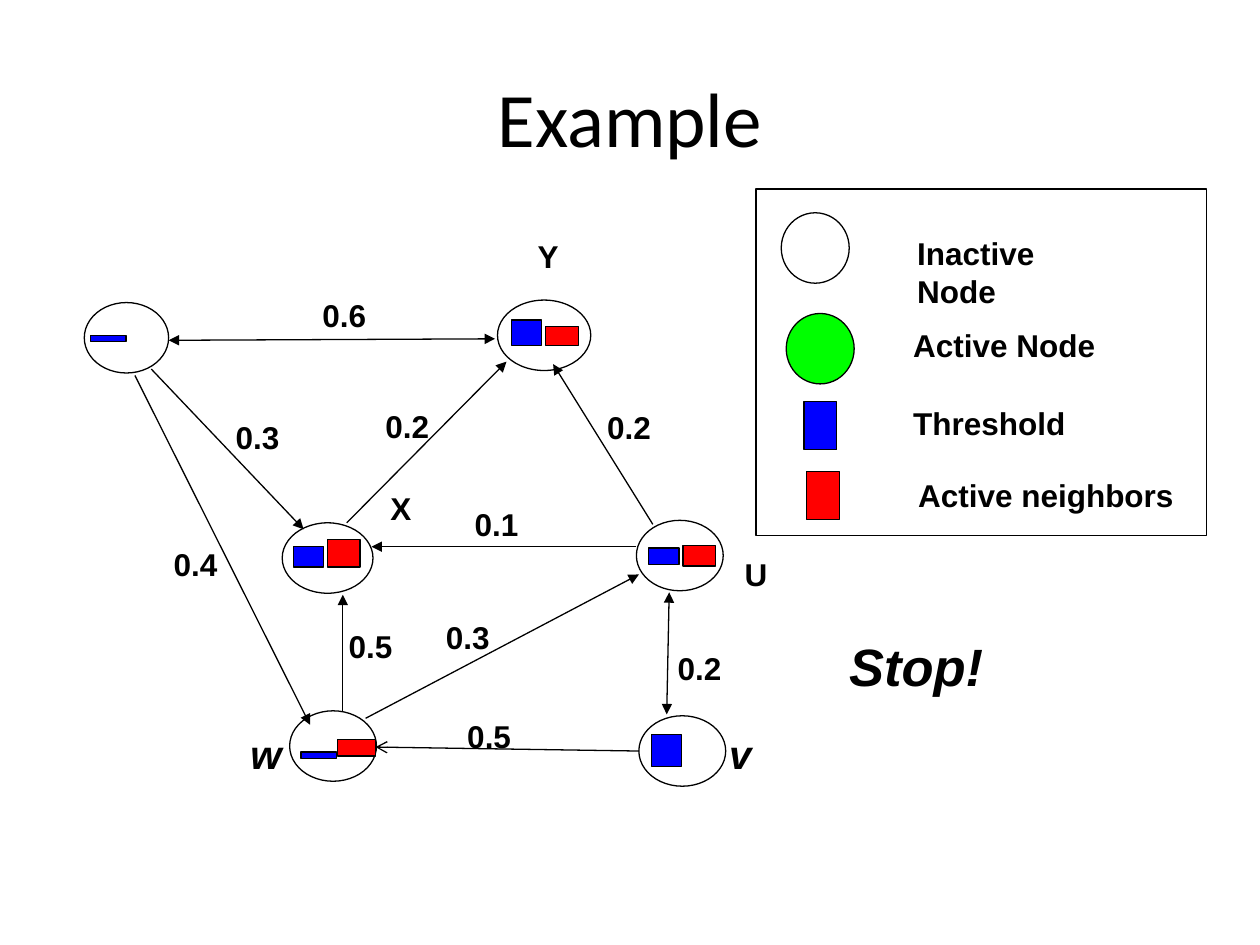
from lxml.etree import SubElement
from pptx import Presentation
from pptx.dml.color import RGBColor
from pptx.enum.shapes import MSO_CONNECTOR, MSO_SHAPE
from pptx.enum.text import MSO_ANCHOR, PP_ALIGN
from pptx.oxml.ns import qn
from pptx.util import Cm, Pt

BLACK = RGBColor(0, 0, 0)
WHITE = RGBColor(255, 255, 255)
GREEN = RGBColor(0, 255, 0)
BLUE = RGBColor(0, 0, 255)
RED = RGBColor(255, 0, 0)
OVAL, BOX = MSO_SHAPE.OVAL, MSO_SHAPE.RECTANGLE

# All lengths are in centimetres.
NODE_HEIGHT = 1.42
NODES = [  # left, top, width
    (5.69, 10.54, 1.83),
    (5.84, 14.33, 1.75),
    (12.83, 10.49, 1.75),
    (12.88, 14.43, 1.75),
    (1.70, 6.10, 1.70),
    (10.03, 6.05, 1.88),
]
BARS = [  # colour, left, top, width, height
    (BLUE, 13.13, 14.81, 0.61, 0.64),
    (BLUE, 10.31, 6.45, 0.61, 0.51),
    (BLUE, 5.92, 11.02, 0.61, 0.41),
    (BLUE, 13.08, 11.05, 0.61, 0.33),
    (BLUE, 6.07, 15.16, 0.71, 0.13),
    (BLUE, 1.83, 6.76, 0.71, 0.13),
    (RED, 6.81, 14.91, 0.76, 0.33),
    (RED, 13.77, 11.00, 0.66, 0.41),
    (RED, 6.60, 10.87, 0.66, 0.56),
    (RED, 11.00, 6.58, 0.66, 0.38),
]
ONE_WAY = {"tailEnd": "triangle"}
BOTH_WAYS = {"headEnd": "triangle", "tailEnd": "triangle"}
OPEN_ARROW = {"tailEnd": "arrow"}
EDGES = [  # weight, its left and top, start, end, arrowheads
    ("0.3", (8.74, 12.34), (7.37, 14.48), (12.88, 11.58), ONE_WAY),
    ("0.5", (6.78, 12.52), (6.91, 14.33), (6.91, 11.99), ONE_WAY),
    ("0.1", (9.32, 10.06), (12.83, 11.02), (7.49, 11.02), ONE_WAY),
    ("0.4", (3.25, 10.87), (2.72, 7.57), (6.25, 14.61), ONE_WAY),
    ("0.3", (4.50, 8.31), (3.05, 7.44), (6.12, 10.67), ONE_WAY),
    ("0.2", (7.52, 8.08), (6.99, 10.54), (10.21, 7.29), ONE_WAY),
    ("0.6", (6.25, 5.84), (3.40, 6.86), (9.98, 6.83), BOTH_WAYS),
    ("0.2", (11.99, 8.10), (13.16, 10.57), (11.15, 7.34), ONE_WAY),
    ("0.2", (13.41, 12.95), (13.49, 11.94), (13.44, 14.40), BOTH_WAYS),
    ("0.5", (9.17, 14.33), (12.88, 15.14), (7.57, 15.06), OPEN_ARROW),
]
NAMES = [  # text, left, top, width, height, size, italic
    ("v", 14.45, 14.58, 0.86, 1.24, 23, True),
    ("w", 4.80, 14.58, 0.97, 1.24, 23, True),
    ("U", 14.76, 11.07, 1.12, 1.02, 18, False),
    ("X", 7.62, 9.73, 1.12, 1.02, 18, False),
    ("Y", 10.59, 4.65, 1.47, 1.02, 18, False),
    ("Stop!", 16.87, 12.65, 3.63, 1.52, 30, True),
]
LEGEND_FRAME = (15.24, 3.81, 9.09, 6.98)
LEGEND = [  # text, its left, top and width, mark, colour, mark box
    ("Inactive Node", (18.24, 4.60, 4.62), OVAL, WHITE, (15.75, 4.29, 1.37, 1.42)),
    ("Active Node", (18.16, 6.45, 4.17), OVAL, GREEN, (15.85, 6.32, 1.37, 1.42)),
    ("Threshold", (18.16, 8.03, 3.58), BOX, BLUE, (16.21, 8.10, 0.66, 0.97)),
    ("Active neighbors", (18.26, 9.47, 5.66), BOX, RED, (16.26, 9.50, 0.66, 0.97)),
]

prs = Presentation()
prs.slide_width, prs.slide_height = Cm(25.4), Cm(19.05)
slide = prs.slides.add_slide(prs.slide_layouts[6])


def add_outlined(kind, color, box):
    shape = slide.shapes.add_shape(kind, *map(Cm, box))
    shape.shadow.inherit = False
    if color is None:
        shape.fill.background()
    else:
        shape.fill.solid()
        shape.fill.fore_color.rgb = color
    shape.line.color.rgb = BLACK
    shape.line.width = Pt(0.75)


def add_text(text, box, size=18, font="Arial", bold=True, italic=False, wrap=True):
    frame = slide.shapes.add_textbox(*map(Cm, box)).text_frame
    frame.word_wrap = wrap
    frame.text = text
    style = frame.paragraphs[0].runs[0].font
    style.name, style.size = font, Pt(size)
    style.bold, style.italic = bold, italic
    style.color.rgb = BLACK
    return frame


def add_edge(start, end, arrowheads):
    edge = slide.shapes.add_connector(MSO_CONNECTOR.STRAIGHT, *map(Cm, start + end))
    edge.line.color.rgb = BLACK
    edge.line.width = Pt(0.75)
    line = edge.line._get_or_add_ln()
    for tag, kind in arrowheads.items():
        SubElement(line, qn(f"a:{tag}"), type=kind)
    SubElement(edge._element.spPr, qn("a:effectLst"))


title = add_text("Example", (1.27, 0.76, 22.86, 3.18), 44, "Calibri", bold=False)
title.vertical_anchor = MSO_ANCHOR.MIDDLE
title.paragraphs[0].alignment = PP_ALIGN.CENTER

add_outlined(BOX, None, LEGEND_FRAME)
for text, (left, top, width), mark, color, mark_box in LEGEND:
    add_outlined(mark, color, mark_box)
    add_text(text, (left, top, width, 1.02), wrap=False)

for node in NODES:
    add_outlined(OVAL, WHITE, (*node, NODE_HEIGHT))
for weight, place, start, end, arrowheads in EDGES:
    add_edge(start, end, arrowheads)
    add_text(weight, (*place, 1.70, 1.02))
for color, *box in BARS:
    add_outlined(BOX, color, box)
for text, *box, size, italic in NAMES:
    add_text(text, box, size, italic=italic)

prs.save("out.pptx")
